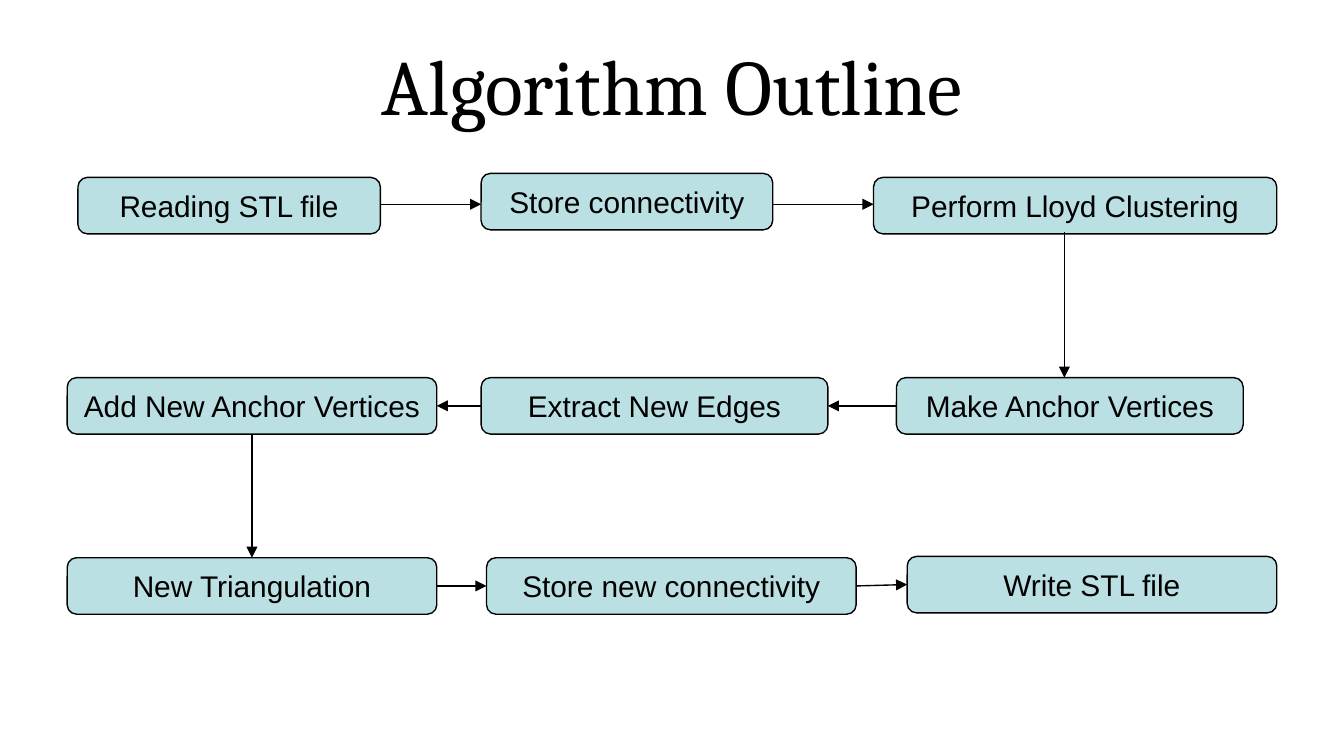
from lxml import etree
from pptx import Presentation
from pptx.dml.color import RGBColor
from pptx.enum.shapes import MSO_CONNECTOR, MSO_SHAPE
from pptx.enum.text import MSO_ANCHOR, PP_ALIGN
from pptx.oxml.ns import qn
from pptx.util import Inches, Pt

BLACK = "000000"
STEP_FILL = "BBE0E3"
STEP_HEIGHT = 0.42
TOP, LEFT, BOTTOM, RIGHT = range(4)


def color(hex_string):
    return RGBColor.from_string(hex_string)


def write_centered(shape, text, font_name, size):
    frame = shape.text_frame
    frame.text = text
    frame.word_wrap = True
    frame.vertical_anchor = MSO_ANCHOR.MIDDLE
    paragraph = frame.paragraphs[0]
    paragraph.alignment = PP_ALIGN.CENTER
    font = paragraph.runs[0].font
    font.name = font_name
    font.size = Pt(size)
    font.color.rgb = color(BLACK)


presentation = Presentation()
presentation.slide_width = Inches(10)
presentation.slide_height = Inches(10) * 9 // 16
slide = presentation.slides.add_slide(presentation.slide_layouts[6])

title = slide.shapes.add_textbox(Inches(0.5), Inches(0.23), Inches(9), Inches(0.94))
title.text_frame.margin_bottom = Inches(0.2)
write_centered(title, "Algorithm Outline", "Cambria", 42)

# Steps in flow order: text, left, top, width
steps = [
    ("Reading STL file", 0.58, 1.32, 2.25),
    ("Store connectivity", 3.58, 1.29, 2.17),
    ("Perform Lloyd Clustering", 6.5, 1.32, 3),
    ("Make Anchor Vertices", 6.67, 2.81, 2.58),
    ("Extract New Edges", 3.58, 2.81, 2.58),
    ("Add New Anchor Vertices", 0.5, 2.81, 2.75),
    ("New Triangulation", 0.5, 4.15, 2.75),
    ("Store new connectivity", 3.62, 4.15, 2.75),
    ("Write STL file", 6.75, 4.14, 2.75),
]
boxes = []
for text, left, top, width in steps:
    box = slide.shapes.add_shape(
        MSO_SHAPE.ROUNDED_RECTANGLE,
        Inches(left), Inches(top), Inches(width), Inches(STEP_HEIGHT),
    )
    box.shadow.inherit = False
    box.fill.solid()
    box.fill.fore_color.rgb = color(STEP_FILL)
    box.line.color.rgb = color(BLACK)
    box.line.width = Pt(0.75)
    box.text_frame.margin_left = box.text_frame.margin_right = Inches(0.05)
    write_centered(box, text, "Arial", 16)
    boxes.append(box)

# One arrow from each step to the next: start, end, and the sides it joins.
# The first three meet their boxes off the middle of a side, so they stay free.
arrows = [
    ((2.83, 1.52), (3.58, 1.52), None),
    ((5.75, 1.52), (6.5, 1.52), None),
    ((7.92, 1.73), (7.92, 2.81), None),
    ((6.67, 3.02), (6.16, 3.02), (LEFT, RIGHT)),
    ((3.58, 3.02), (3.25, 3.02), (LEFT, RIGHT)),
    ((1.88, 3.23), (1.88, 4.15), (BOTTOM, TOP)),
    ((3.25, 4.36), (3.62, 4.36), (RIGHT, LEFT)),
    ((6.37, 4.36), (6.75, 4.35), (RIGHT, LEFT)),
]
for source, target, (start, end, sides) in zip(boxes, boxes[1:], arrows):
    arrow = slide.shapes.add_connector(
        MSO_CONNECTOR.STRAIGHT, *map(Inches, start), *map(Inches, end)
    )
    if sides:
        arrow.begin_connect(source, sides[0])
        arrow.end_connect(target, sides[1])
    arrow.line.color.rgb = color(BLACK)
    arrow.line.width = Pt(0.75)
    line = arrow.line._get_or_add_ln()
    etree.SubElement(line, qn("a:tailEnd"), type="triangle")
    etree.SubElement(arrow._element.spPr, qn("a:effectLst"))

presentation.save("out.pptx")
